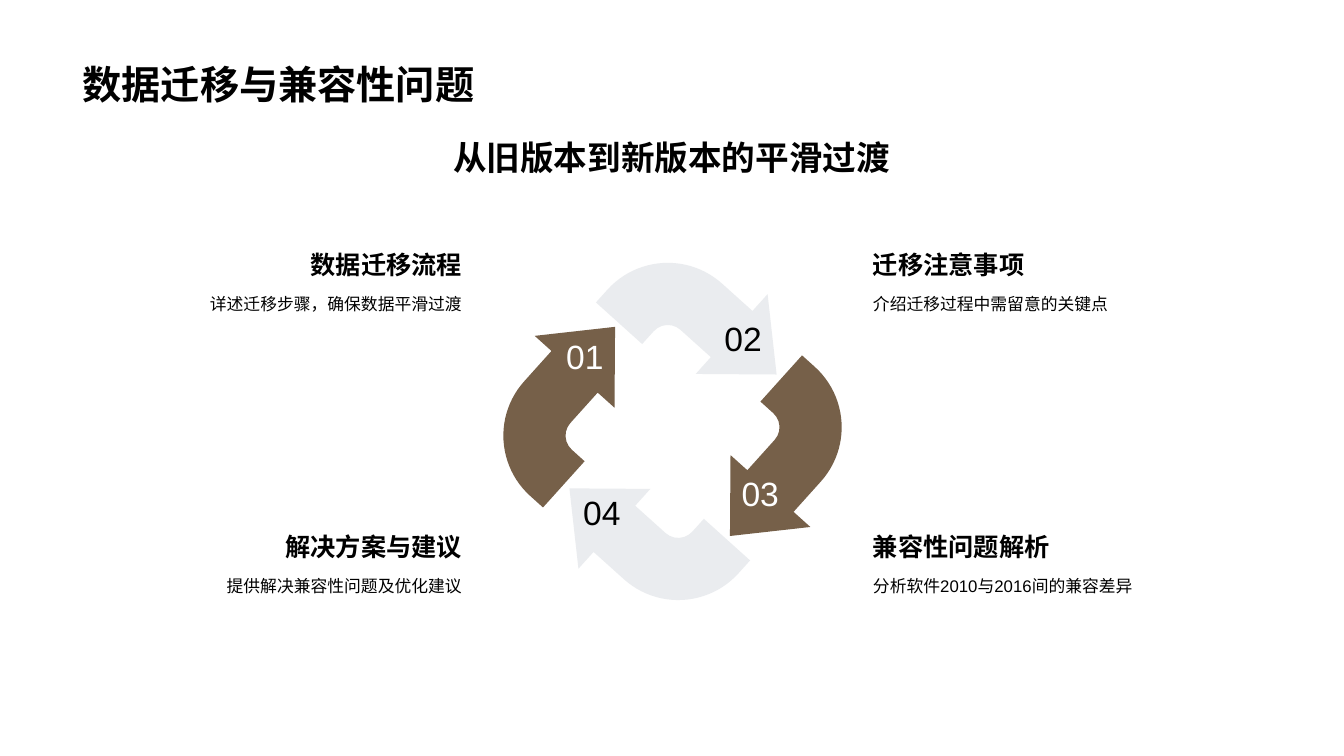
"""Build a slide with a four-arrow cycle on data migration and compatibility."""
import pptx
import pptx.util
import pptx.dml.color
import pptx.enum.shapes
import pptx.enum.text
import pptx.oxml
import pptx.oxml.ns

Inches = pptx.util.Inches
ALIGN = pptx.enum.text.PP_ALIGN
ANCHOR = pptx.enum.text.MSO_ANCHOR
BROWN, GREY, BLACK, WHITE = "766049", "768394", "000000", "FFFFFF"


def color(value):
    return pptx.dml.color.RGBColor.from_string(value)


def write(shape, text, size, align, bold=False, ink=BLACK, anchor=ANCHOR.TOP, spacing=1.0):
    frame = shape.text_frame
    frame.text = text
    frame.word_wrap = True
    frame.auto_size = pptx.enum.text.MSO_AUTO_SIZE.NONE
    frame.vertical_anchor = anchor
    paragraph = frame.paragraphs[0]
    paragraph.alignment = align
    paragraph.line_spacing = spacing
    font = paragraph.runs[0].font
    font.name = "Arial"
    font.size = pptx.util.Pt(size)
    font.bold = bold
    font.color.rgb = color(ink)


presentation = pptx.Presentation()
presentation.slide_width = Inches(13.33)
presentation.slide_height = Inches(7.5)
slide = presentation.slides.add_slide(presentation.slide_layouts[5])
shapes = slide.shapes

title = shapes.title
title.left, title.top = Inches(0.72), Inches(0.14)
title.width, title.height = Inches(11.88), Inches(0.98)
write(title, "数据迁移与兼容性问题", 28, ALIGN.LEFT, bold=True, anchor=ANCHOR.BOTTOM)

subtitle = shapes.add_textbox(Inches(0.72), Inches(1.31), Inches(11.88), Inches(0.7))
write(subtitle, "从旧版本到新版本的平滑过渡", 24, ALIGN.CENTER, bold=True)

arrows = [(6.08, 2.56, 42, GREY), (6.89, 4, 132, BROWN),
          (5.46, 4.8, 222, GREY), (4.64, 3.36, 312, BROWN)]
for left, top, rotation, fill in arrows:
    arrow = shapes.add_shape(pptx.enum.shapes.MSO_SHAPE.BENT_ARROW,
                             Inches(left), Inches(top), Inches(1.81), Inches(1.2))
    arrow.rotation = rotation
    for index, value in enumerate([0.514, 0.444, 0.5, 0.671]):
        arrow.adjustments[index] = value
    arrow.shadow.inherit = False
    arrow.line.fill.background()
    arrow.fill.solid()
    arrow.fill.fore_color.rgb = color(fill)
    if fill == GREY:
        tint = arrow.fill._xPr.find(".//" + pptx.oxml.ns.qn("a:srgbClr"))
        tint.append(pptx.oxml.parse_xml(
            f'<a:alpha {pptx.oxml.ns.nsdecls("a")} val="15000"/>'))

topics = [
    ("01", 5.51, 3.28, WHITE, 1.39, 2.24, "数据迁移流程", "详述迁移步骤，确保数据平滑过渡"),
    ("02", 7.08, 3.1, BLACK, 8.56, 2.24, "迁移注意事项", "介绍迁移过程中需留意的关键点"),
    ("03", 7.25, 4.64, WHITE, 8.56, 5.04, "兼容性问题解析", "分析软件2010与2016间的兼容差异"),
    ("04", 5.68, 4.83, BLACK, 1.39, 5.04, "解决方案与建议", "提供解决兼容性问题及优化建议"),
]
for number, number_left, number_top, ink, left, top, heading, detail in topics:
    align = ALIGN.RIGHT if left < 5 else ALIGN.LEFT
    number_box = shapes.add_textbox(Inches(number_left), Inches(number_top),
                                    Inches(0.58), Inches(0.5))
    write(number_box, number, 24, ALIGN.CENTER, ink=ink)
    heading_box = shapes.add_textbox(Inches(left), Inches(top), Inches(3.29), Inches(0.58))
    write(heading_box, heading, 18, align, bold=True, anchor=ANCHOR.BOTTOM)
    detail_box = shapes.add_textbox(Inches(left), Inches(top + 0.58), Inches(3.29), Inches(1.02))
    write(detail_box, detail, 12, align, spacing=1.2)

presentation.save("out.pptx")
